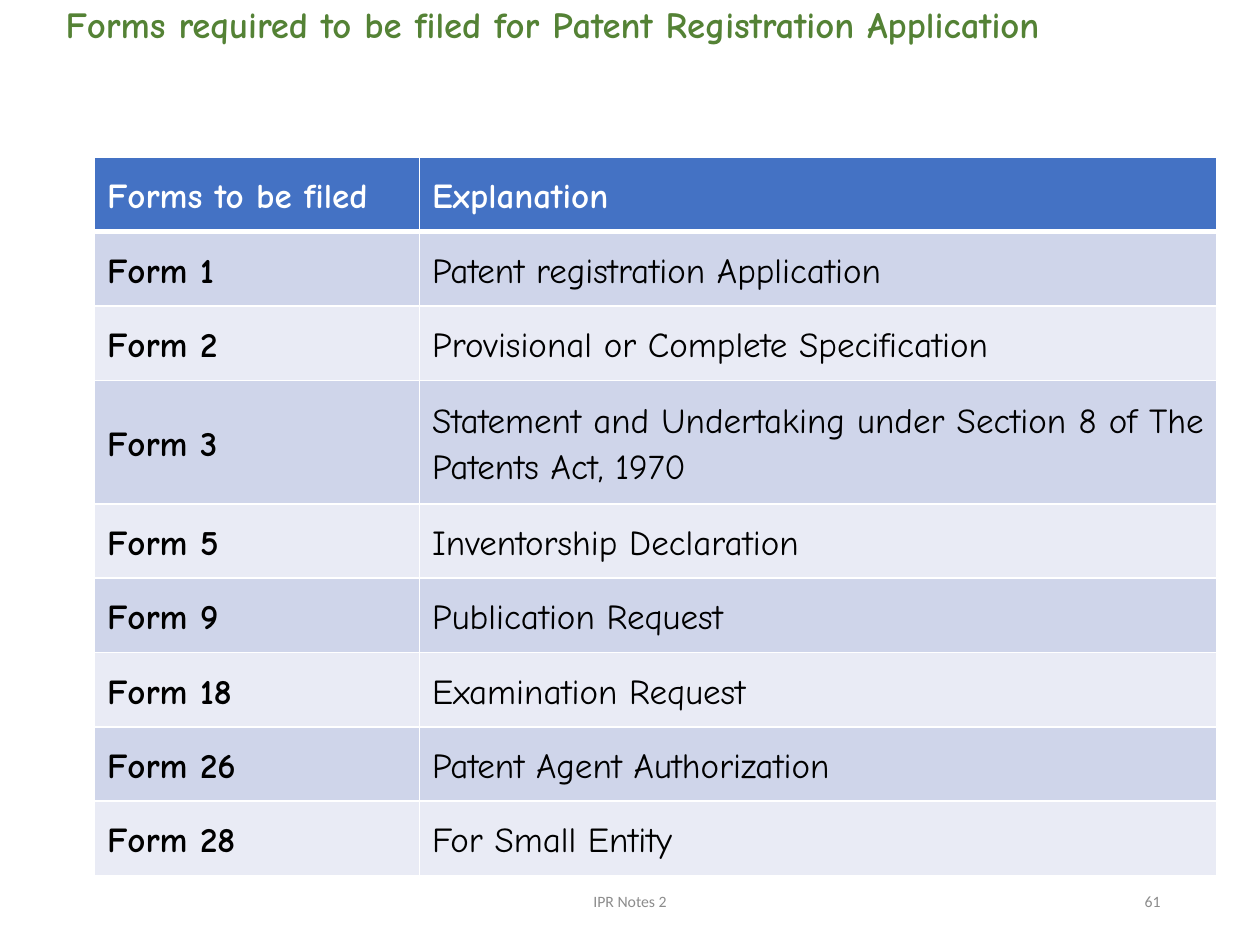
from lxml import etree
from pptx import Presentation
from pptx.dml.color import RGBColor
from pptx.enum.text import MSO_ANCHOR, PP_ALIGN
from pptx.oxml.ns import qn
from pptx.util import Inches, Pt

MIDDLE = MSO_ANCHOR.MIDDLE
TOP = MSO_ANCHOR.TOP
CENTER = PP_ALIGN.CENTER
JUSTIFY = PP_ALIGN.JUSTIFY
RIGHT = PP_ALIGN.RIGHT

GREEN = RGBColor(0x54, 0x82, 0x35)
GRAY = RGBColor(0x8C, 0x8C, 0x8C)
BLUE = RGBColor(0x44, 0x72, 0xC4)
BAND_DARK = RGBColor(0xCF, 0xD5, 0xEA)
BAND_LIGHT = RGBColor(0xE9, 0xEB, 0xF5)
WHITE = RGBColor(0xFF, 0xFF, 0xFF)
BLACK = RGBColor(0x00, 0x00, 0x00)

FORMS = [
    ("Forms to be filed", "Explanation"),
    ("Form 1", "Patent registration Application"),
    ("Form 2", "Provisional or Complete Specification"),
    ("Form 3", "Statement and Undertaking under Section 8 of The Patents Act, 1970"),
    ("Form 5", "Inventorship Declaration"),
    ("Form 9", "Publication Request"),
    ("Form 18", "Examination Request"),
    ("Form 26", "Patent Agent Authorization"),
    ("Form 28", "For Small Entity"),
]
COLUMN_WIDTHS = (2.58, 6.33)
ROW_HEIGHT = 0.59
TWO_LINE_HEIGHT = 0.98
TWO_LINE_ROW = 3


class SlideBuilder:
    """Holds the slide and its text style."""

    main_font = "Comic Neue"
    footer_font = "Calibri"

    def __init__(self, slide):
        """Keep the slide to draw on."""
        self.slide = slide

    def set_text(self, frame, text, size, color, alignment, bold=False, font=None):
        """Put one formatted paragraph in a text frame and return it."""
        paragraph = frame.paragraphs[0]
        paragraph.text = text
        paragraph.alignment = alignment
        paragraph.font.name = font or self.main_font
        paragraph.font.size = Pt(size)
        paragraph.font.bold = bold
        paragraph.font.color.rgb = color
        return paragraph

    def heading(self, text):
        """Set the heading in the body placeholder, without a bullet."""
        title, body = self.slide.placeholders
        title.element.getparent().remove(title.element)
        body.left, body.top = Inches(0.42), Inches(0)
        body.width, body.height = Inches(9.33), Inches(7)
        body.text_frame.vertical_anchor = TOP
        paragraph = self.set_text(body.text_frame, text, 21, GREEN, JUSTIFY, True)
        paragraph.line_spacing = 0.9
        paragraph.space_before = Pt(7.5)
        properties = paragraph._p.get_or_add_pPr()
        properties.set("marL", "0")
        properties.set("indent", "0")
        bullet = etree.Element(qn("a:buNone"))
        properties.find(qn("a:defRPr")).addprevious(bullet)

    def footer(self, left, width, text, alignment):
        """Add a small gray text at the foot of the slide."""
        box = self.slide.shapes.add_textbox(
            Inches(left), Inches(6.95), Inches(width), Inches(0.4))
        box.text_frame.word_wrap = True
        box.text_frame.vertical_anchor = MIDDLE
        self.set_text(box.text_frame, text, 9, GRAY, alignment, font=self.footer_font)

    def borders(self, cell, bottom_width):
        """Draw white borders around a cell."""
        properties = cell._tc.get_or_add_tcPr()
        for side in "LRTB":
            width = bottom_width if side == "B" else 1
            line = etree.SubElement(properties, qn(f"a:ln{side}"), w=str(Pt(width)))
            fill = etree.SubElement(line, qn("a:solidFill"))
            etree.SubElement(fill, qn("a:srgbClr"), val=str(WHITE))

    def cell(self, cell, text, fill, color, bold, bottom_width):
        """Fill and format one table cell."""
        self.borders(cell, bottom_width)
        cell.fill.solid()
        cell.fill.fore_color.rgb = fill
        cell.vertical_anchor = MIDDLE
        cell.margin_left = cell.margin_right = Inches(0.1)
        cell.margin_top = cell.margin_bottom = Inches(0.1)
        paragraph = self.set_text(cell.text_frame, text, 20, color, JUSTIFY, bold)
        paragraph.line_spacing = 1.15

    def table(self, rows):
        """Add the table with a header row and alternating bands."""
        heights = [ROW_HEIGHT] * len(rows)
        heights[TWO_LINE_ROW] = TWO_LINE_HEIGHT
        table = self.slide.shapes.add_table(
            len(rows), len(COLUMN_WIDTHS), Inches(0.75), Inches(1.25),
            Inches(sum(COLUMN_WIDTHS)), Inches(sum(heights))).table
        for column, width in zip(table.columns, COLUMN_WIDTHS):
            column.width = Inches(width)
        for row_index, texts in enumerate(rows):
            table.rows[row_index].height = Inches(heights[row_index])
            header = row_index == 0
            band = BAND_DARK if row_index % 2 else BAND_LIGHT
            for column_index, text in enumerate(texts):
                self.cell(
                    table.cell(row_index, column_index), text,
                    fill=BLUE if header else band,
                    color=WHITE if header else BLACK,
                    bold=header or column_index == 0,
                    bottom_width=3 if header else 1)


def main():
    """Build and save the slide."""
    presentation = Presentation()
    presentation.slide_width = Inches(10)
    presentation.slide_height = Inches(7.5)
    slide = presentation.slides.add_slide(presentation.slide_layouts[1])
    builder = SlideBuilder(slide)
    builder.heading("Forms required to be filed for Patent Registration Application")
    builder.footer(3.31, 3.38, "IPR Notes 2", CENTER)
    builder.footer(7.06, 2.25, "61", RIGHT)
    builder.table(FORMS)
    presentation.save("out.pptx")


main()
